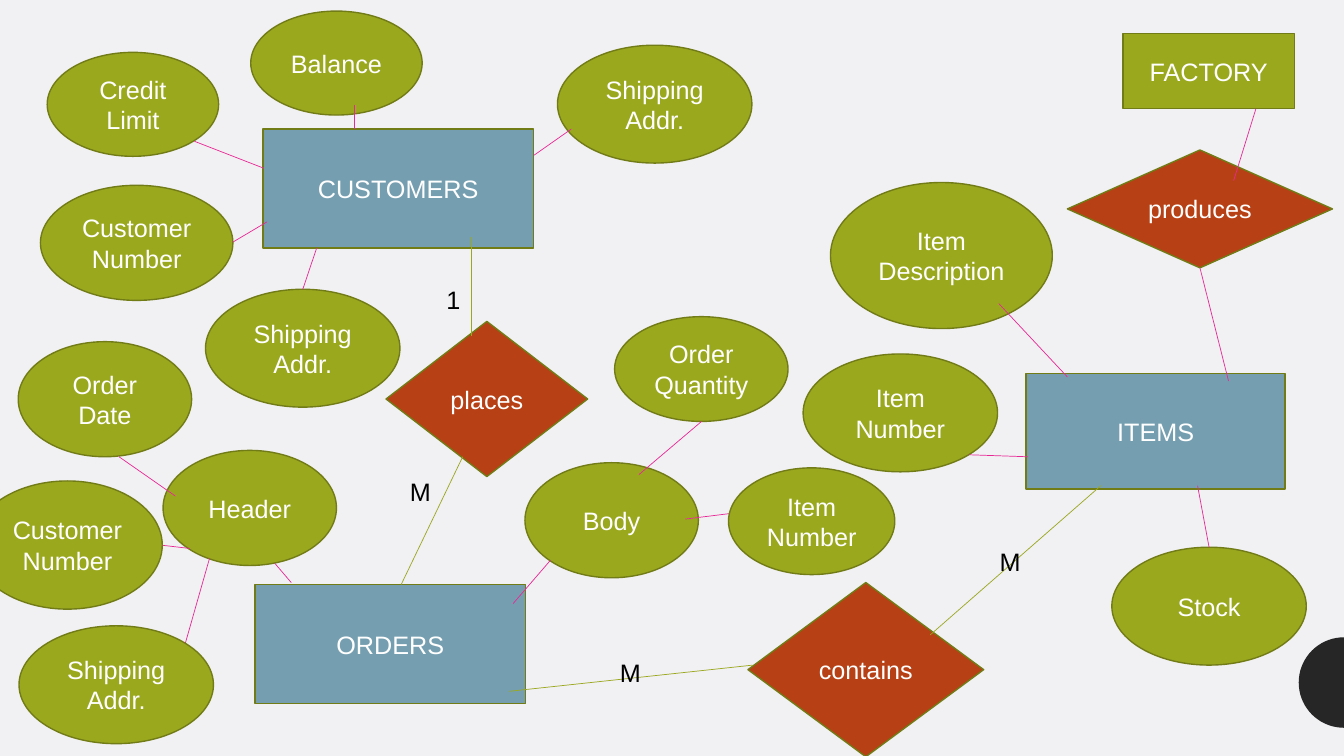
"""Build an entity-relationship diagram of customers, orders and items."""
import math

import lxml.etree
import pptx
import pptx.dml.color
import pptx.enum.shapes
import pptx.enum.text
import pptx.oxml.ns
import pptx.util

Cm = pptx.util.Cm
Pt = pptx.util.Pt
KIND = pptx.enum.shapes.MSO_SHAPE
WIDE, HIGH = 33.87, 19.05

HUES = {
    "back": "F1F0F3", "disc": "262626", "blue": "759FB0", "green": "9AA81E",
    "rust": "B74015", "edge": "727C16", "pink": "E72995",
    "white": "FFFFFF", "black": "000000",
}

BLOCKS = [
    ("CUSTOMERS", "blue", 6.63, 3.25, 6.81, 3),
    ("ITEMS", "blue", 25.86, 9.42, 6.53, 2.9),
    ("ORDERS", "blue", 6.43, 14.73, 6.81, 3),
    ("FACTORY", "green", 28.3, 0.84, 4.32, 1.9),
]
OVALS = [
    ("Customer Number", 1.02, 4.67, 4.85, 2.9),
    ("Shipping Addr.", 14.05, 1.14, 4.9, 2.97),
    ("Credit Limit", 1.19, 1.32, 4.32, 2.62),
    ("Balance", 6.32, 0.28, 4.32, 2.62),
    ("Item\nNumber", 20.24, 8.92, 4.9, 2.97),
    ("Item Description", 20.93, 4.6, 5.59, 3.68),
    ("Header", 4.11, 11.35, 4.37, 2.9),
    ("Body", 13.23, 11.66, 4.37, 2.9),
    ("Order Date", 0.46, 8.61, 4.37, 2.9),
    ("Order Quantity", 15.49, 7.98, 4.37, 2.64),
]
FRONT = [
    ("Customer Number", -0.69, 12.12, 4.78, 3.23),
    ("Shipping Addr.", 0.48, 15.77, 4.9, 2.97),
    ("Item\nNumber", 18.36, 11.79, 4.19, 2.69),
]
LINKS = {
    "pink": [
        (14.4, 3.25, 13.46, 3.91), (8.92, 2.64, 8.92, 3.25),
        (6.65, 4.24, 4.9, 3.56), (6.73, 5.59, 5.87, 6.1),
        (17.68, 10.62, 16.1, 11.96), (7.34, 14.68, 6.93, 14.2),
        (5.28, 14.07, 4.67, 16.21), (4.78, 13.82, 4.09, 13.74),
        (4.42, 12.5, 3, 11.51), (13.87, 14.12, 12.93, 15.21),
        (19.53, 12.8, 17.27, 13.08), (26.9, 9.5, 25.17, 7.65),
        (25.91, 11.51, 24.43, 11.46), (31.65, 2.74, 31.09, 4.55),
    ],
    "green": [
        (11.89, 5.97, 11.89, 8.46), (11.66, 11.51, 10.11, 14.73),
        (18.97, 16.76, 12.83, 17.42), (27.74, 12.24, 23.44, 16),
    ],
}
MARKS = [("M", 15.37, 16.43), ("M", 24.94, 13.64),
         ("M", 10.08, 11.89), ("1", 11, 7.04)]


def paint(fill, hue):
    """Fill with one of the named colours."""
    fill.solid()
    fill.fore_color.rgb = pptx.dml.color.RGBColor.from_string(HUES[hue])


def write(shape, text, hue, side):
    """Put text in a shape and format its runs."""
    frame = shape.text_frame
    frame.word_wrap = True
    frame.text = text
    for para in frame.paragraphs:
        para.alignment = side
        for run in para.runs:
            run.font.name = "Arial"
            run.font.size = Pt(18)
            paint(run.font.fill, hue)


def node(slide, kind, hue, text, *box):
    """Draw a filled shape with centred white text."""
    shape = slide.shapes.add_shape(kind, *map(Cm, box))
    shape.shadow.inherit = False
    paint(shape.fill, hue)
    paint(shape.line.fill, "edge")
    shape.line.width = Pt(1)
    write(shape, text, "white", pptx.enum.text.PP_ALIGN.CENTER)
    return shape


def oval(slide, text, *box):
    """Draw an attribute."""
    return node(slide, KIND.OVAL, "green", text, *box)


def choice(slide, text, *box):
    """Draw a relationship."""
    return node(slide, KIND.FLOWCHART_DECISION, "rust", text, *box)


def link(slide, hue, *ends):
    """Draw a thin straight line."""
    kind = pptx.enum.shapes.MSO_CONNECTOR.STRAIGHT
    line = slide.shapes.add_connector(kind, *map(Cm, ends))
    paint(line.line.fill, hue)
    line.line.width = Pt(0.5)
    tag = pptx.oxml.ns.qn("a:effectLst")
    lxml.etree.SubElement(line.element.spPr, tag)
    return line


def mark(slide, text, left, top):
    """Write a cardinality beside a line."""
    box = slide.shapes.add_textbox(Cm(left), Cm(top), Cm(1.47), Cm(1.02))
    write(box, text, "black", pptx.enum.text.PP_ALIGN.LEFT)


def disc(slide, mid, size):
    """Draw the half disc at the right edge."""
    turns = [math.radians(90 + 5 * step) for step in range(37)]
    dots = [(Cm(WIDE + size * math.cos(turn)), Cm(mid - size * math.sin(turn)))
            for turn in turns]
    path = slide.shapes.build_freeform(*dots[0])
    path.add_line_segments(dots[1:])
    shape = path.convert_to_shape()
    shape.shadow.inherit = False
    paint(shape.fill, "disc")
    shape.line.fill.background()


def main():
    """Build and save the slide."""
    deck = pptx.Presentation()
    deck.slide_width, deck.slide_height = Cm(WIDE), Cm(HIGH)
    slide = deck.slides.add_slide(deck.slide_layouts[6])
    paint(slide.background.fill, "back")
    disc(slide, 17.2, 1.14)
    for text, hue, *box in BLOCKS:
        node(slide, KIND.RECTANGLE, hue, text, *box)
    for item in OVALS:
        oval(slide, *item)
    ship = oval(slide, "Shipping Addr.", 5.18, 7.29, 4.9, 2.97)
    stock = oval(slide, "Stock", 28.02, 13.79, 4.9, 2.97)
    choice(slide, "places", 9.73, 8.1, 5.08, 3.91)
    choice(slide, "contains", 18.85, 14.68, 5.94, 4.39)
    make = choice(slide, "produces", 26.9, 3.78, 6.68, 2.97)
    for hue, rows in LINKS.items():
        for ends in rows:
            link(slide, hue, *ends)
    link(slide, "pink", 7.98, 6.25, 7.65, 7.29).end_connect(ship, 0)
    link(slide, "pink", 30.18, 12.24, 30.45, 13.79).end_connect(stock, 0)
    link(slide, "pink", 30.25, 6.76, 30.96, 9.6).begin_connect(make, 2)
    for item in MARKS:
        mark(slide, *item)
    for item in FRONT:
        oval(slide, *item)
    deck.save("out.pptx")


if __name__ == "__main__":
    main()
